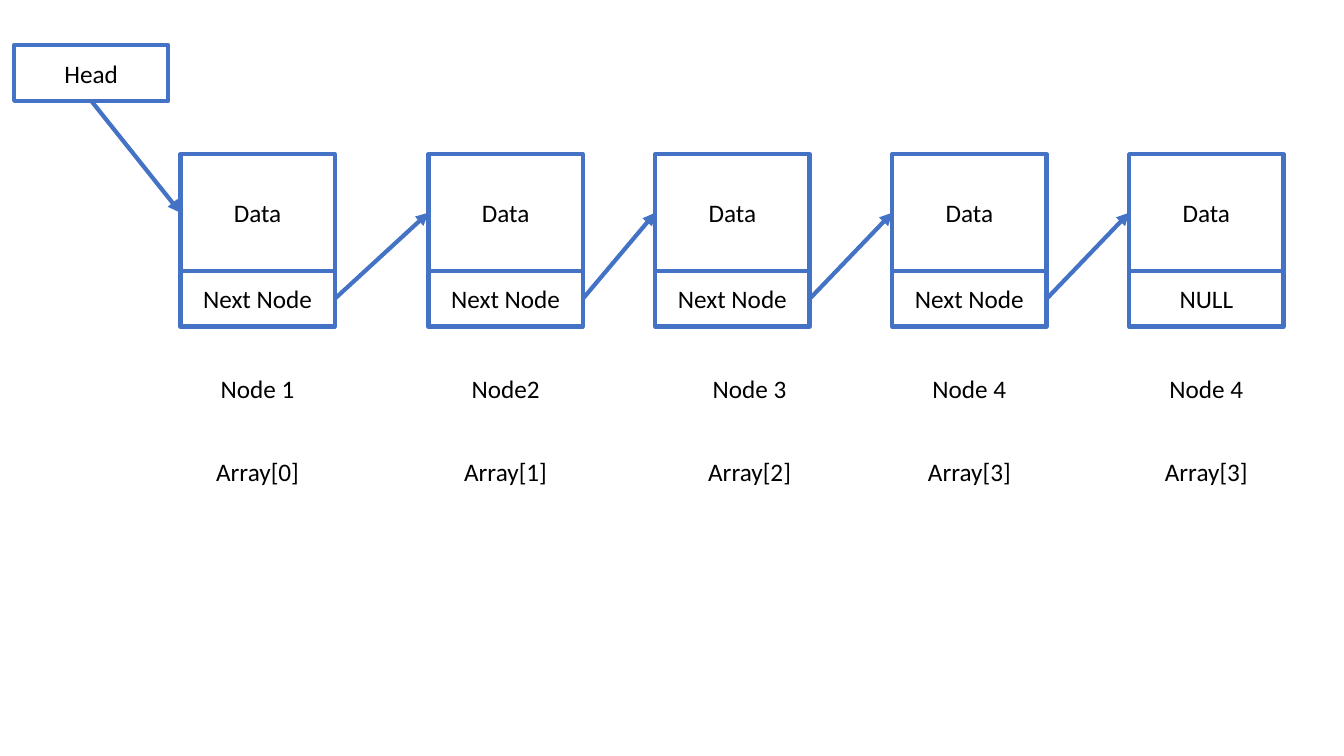
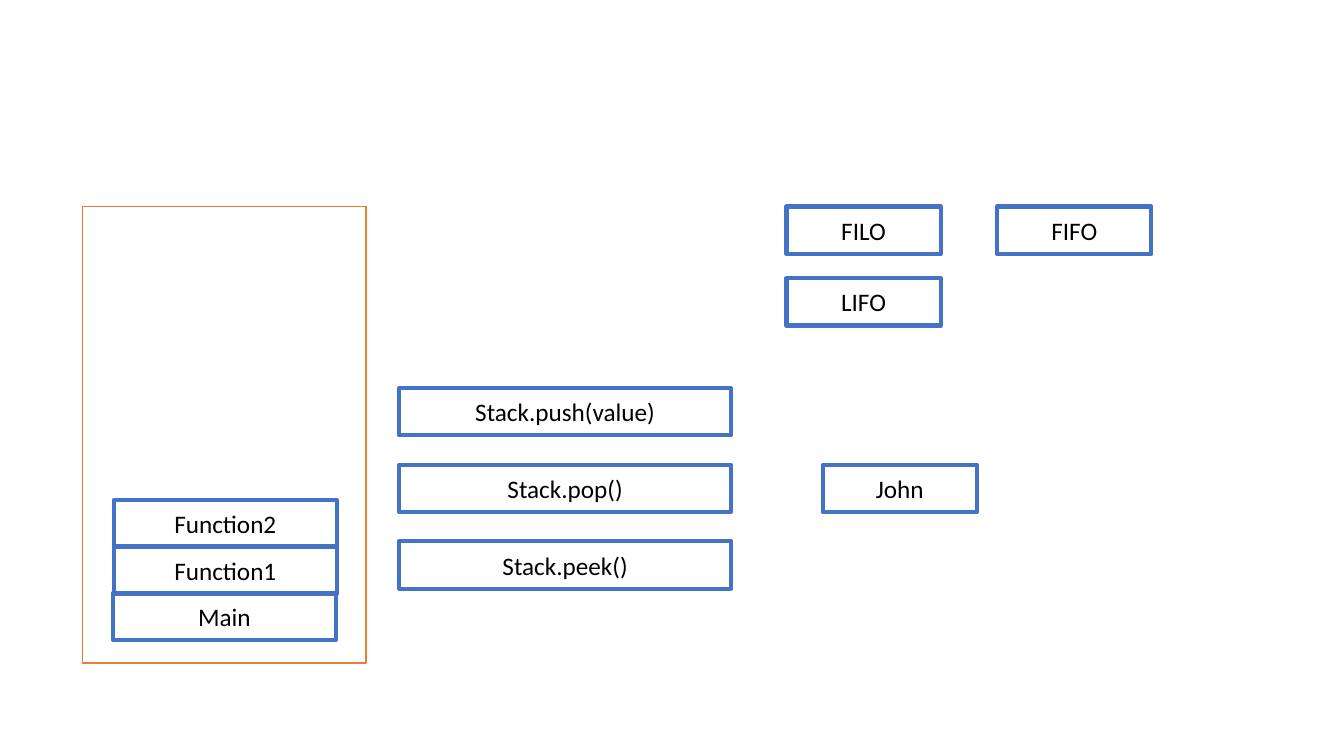
from dataclasses import dataclass

from lxml import etree
from pptx import Presentation
from pptx.dml.color import RGBColor
from pptx.enum.shapes import MSO_CONNECTOR, MSO_SHAPE
from pptx.enum.text import MSO_ANCHOR, PP_ALIGN
from pptx.oxml.ns import qn
from pptx.shapes.autoshape import Shape
from pptx.slide import Slide
from pptx.util import Inches, Pt

RECTANGLE = MSO_SHAPE.RECTANGLE
STRAIGHT = MSO_CONNECTOR.STRAIGHT
MIDDLE = MSO_ANCHOR.MIDDLE
CENTER = PP_ALIGN.CENTER

BLUE = RGBColor(0x44, 0x72, 0xC4)
ORANGE = RGBColor(0xED, 0x7D, 0x31)
BLACK = RGBColor(0x00, 0x00, 0x00)
FONT = "Calibri"
FONT_SIZE = Pt(18)
THICK = 3
THIN = 1

# Connection sites of a rectangle
LEFT_SITE, BOTTOM_SITE, RIGHT_SITE = 1, 2, 3

CELL_WIDTH = 1.53
POINTER_HEIGHT = 0.55
DATA_TOP = 1.53
DATA_HEIGHT = 1.16
NAME_TOP = 3.58
INDEX_TOP = 4.4

BAR_HEIGHT = 0.47
FRAME_WIDTH = 2.21
CALL_LEFT, CALL_TOP, CALL_WIDTH, CALL_STEP = 3.96, 3.85, 3.29, 0.76


@dataclass(frozen=True)
class Box:
    left: float
    top: float
    width: float
    height: float
    text: str = ""


@dataclass(frozen=True)
class Node:
    left: float
    label_left: float
    pointer: str
    name: str
    index: str


NODES = [
    Node(1.79, 1.79, "Next Node", "Node 1", "Array[0]"),
    Node(4.25, 4.25, "Next Node", "Node2", "Array[1]"),
    Node(6.5, 6.67, "Next Node", "Node 3", "Array[2]"),
    Node(8.85, 8.85, "Next Node", "Node 4", "Array[3]"),
    Node(11.2, 11.2, "NULL", "Node 4", "Array[3]"),
]
HEAD = Box(0.14, 0.45, CELL_WIDTH, POINTER_HEIGHT, "Head")

STACK = Box(0.82, 2.05, 2.81, 4.53)
FRAMES = [
    Box(1.12, 5.88, FRAME_WIDTH, BAR_HEIGHT, "Main"),
    Box(1.13, 5.42, FRAME_WIDTH, BAR_HEIGHT, "Function1"),
    Box(1.13, 4.96, FRAME_WIDTH, BAR_HEIGHT, "Function2"),
]
CALLS = [
    Box(CALL_LEFT, CALL_TOP + row * CALL_STEP, CALL_WIDTH, BAR_HEIGHT, call)
    for row, call in enumerate(["Stack.push(value)", "Stack.pop()", "Stack.peek()"])
]
TERMS = [
    Box(7.8, 2.05, CELL_WIDTH, BAR_HEIGHT, "FILO"),
    Box(7.8, 2.76, CELL_WIDTH, BAR_HEIGHT, "LIFO"),
    Box(9.89, 2.05, CELL_WIDTH, BAR_HEIGHT, "FIFO"),
    Box(8.16, 4.61, CELL_WIDTH, BAR_HEIGHT, "John"),
]


def bounds(box: Box) -> tuple[int, int, int, int]:
    return Inches(box.left), Inches(box.top), Inches(box.width), Inches(box.height)


def write_text(shape: Shape, text: str) -> None:
    frame = shape.text_frame
    frame.word_wrap = True
    frame.vertical_anchor = MIDDLE
    paragraph = frame.paragraphs[0]
    paragraph.alignment = CENTER
    run = paragraph.add_run()
    run.text = text
    run.font.name = FONT
    run.font.size = FONT_SIZE
    run.font.color.rgb = BLACK


def add_box(slide: Slide, box: Box, color: RGBColor = BLUE, weight: float = THICK) -> Shape:
    shape = slide.shapes.add_shape(RECTANGLE, *bounds(box))
    shape.shadow.inherit = False
    shape.fill.background()
    shape.line.color.rgb = color
    shape.line.width = Pt(weight)
    if box.text:
        write_text(shape, box.text)
    return shape


def add_label(slide: Slide, box: Box) -> None:
    write_text(slide.shapes.add_textbox(*bounds(box)), box.text)


def add_arrow(slide: Slide, source: Shape, source_site: int, target: Shape) -> None:
    """Link a site of the source to the left side of the target."""
    arrow = slide.shapes.add_connector(STRAIGHT, 0, 0, 0, 0)
    arrow.begin_connect(source, source_site)
    arrow.end_connect(target, LEFT_SITE)
    arrow.line.color.rgb = BLUE
    arrow.line.width = Pt(THICK)
    etree.SubElement(arrow.line._get_or_add_ln(), qn("a:tailEnd"), type="triangle")
    etree.SubElement(arrow._element.spPr, qn("a:effectLst"))


def build_linked_list(slide: Slide) -> None:
    source, site = add_box(slide, HEAD), BOTTOM_SITE
    for node in NODES:
        data = add_box(slide, Box(node.left, DATA_TOP, CELL_WIDTH, DATA_HEIGHT, "Data"))
        pointer = add_box(slide, Box(node.left, DATA_TOP + DATA_HEIGHT, CELL_WIDTH,
                                     POINTER_HEIGHT, node.pointer))
        for top, text in ((NAME_TOP, node.name), (INDEX_TOP, node.index)):
            add_label(slide, Box(node.label_left, top, CELL_WIDTH, POINTER_HEIGHT, text))
        add_arrow(slide, source, site, data)
        source, site = pointer, RIGHT_SITE


def build_stack(slide: Slide) -> None:
    add_box(slide, STACK, ORANGE, THIN)
    for box in FRAMES + CALLS + TERMS:
        add_box(slide, box)


def main() -> None:
    presentation = Presentation()
    presentation.slide_width = Inches(13.33)
    presentation.slide_height = Inches(7.5)
    blank = presentation.slide_layouts[6]
    for build in (build_linked_list, build_stack):
        build(presentation.slides.add_slide(blank))
    presentation.save("out.pptx")


if __name__ == "__main__":
    main()
